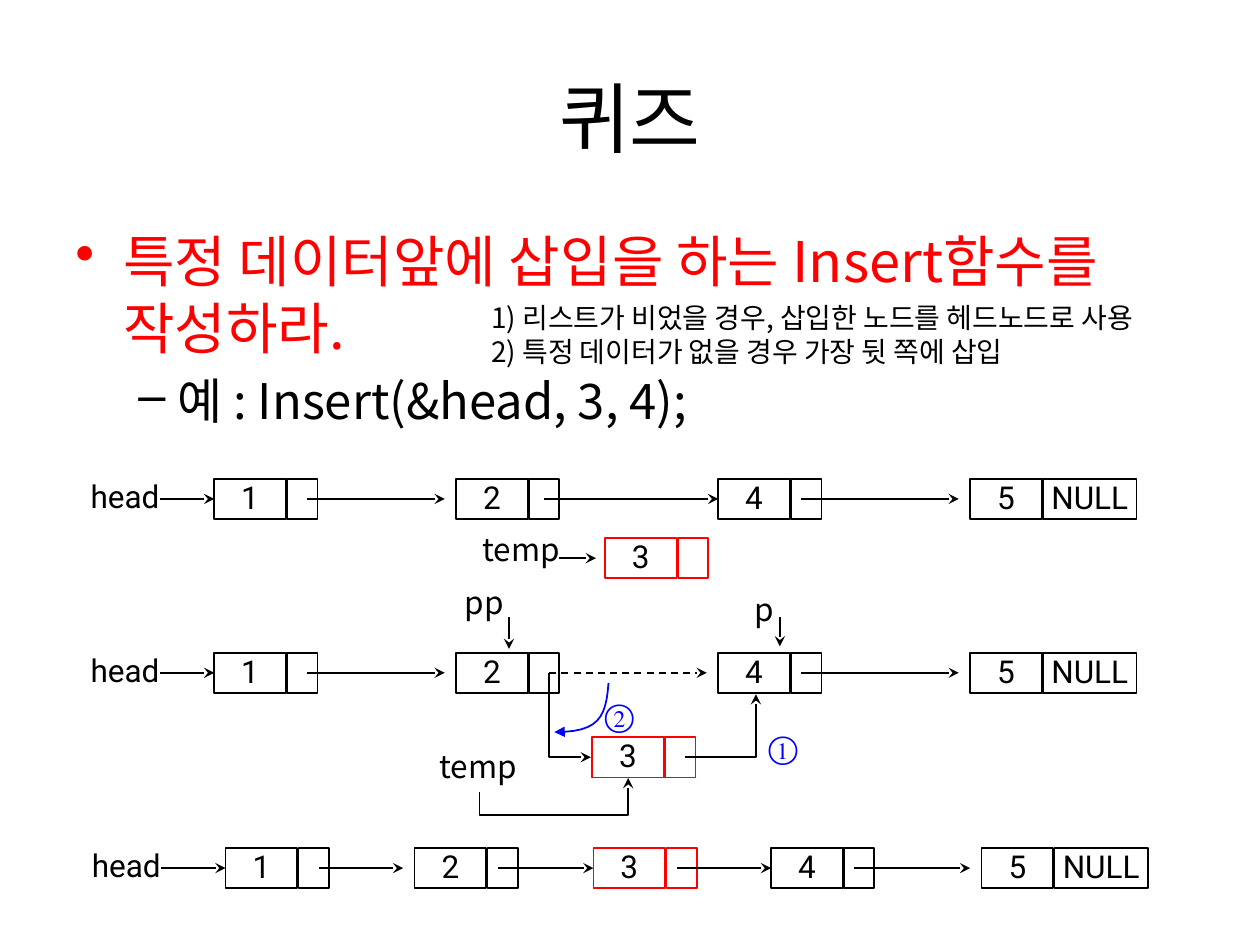
from dataclasses import dataclass
from typing import Optional

from lxml.etree import SubElement
from pptx import Presentation
from pptx.dml.color import RGBColor
from pptx.enum.dml import MSO_LINE
from pptx.enum.shapes import MSO_CONNECTOR, MSO_SHAPE
from pptx.enum.text import MSO_ANCHOR, MSO_AUTO_SIZE, PP_ALIGN
from pptx.oxml.ns import qn
from pptx.util import Inches, Pt

BLACK = RGBColor(0, 0, 0)
RED = RGBColor(255, 0, 0)
BLUE = RGBColor(0, 0, 255)
KOREAN, LATIN, SERIF = "Noto Sans CJK KR", "Roboto", "Times New Roman"

presentation = Presentation()
presentation.slide_width, presentation.slide_height = Inches(10), Inches(7.5)
slide = presentation.slides.add_slide(presentation.slide_layouts[6])

# The slide is a grid of 100 columns by 75 square rows
UNIT = presentation.slide_width // 100
DATA_WIDTH, LINK_OFFSET, LINK_WIDTH, NULL_WIDTH, NODE_HEIGHT = 5.7, 5.8, 2.4, 7.4, 3.2

Point = tuple[float, float]


@dataclass(frozen=True)
class Node:
    column: float
    value: str
    color: RGBColor = BLACK
    link_start: float = 6.6
    gap: float = 0.9  # space between arrow tip and next node; 0 joins them
    dashed: bool = False
    last: bool = False


@dataclass(frozen=True)
class LinkedList:
    row: float
    head_column: float
    nodes: tuple[Node, ...]


@dataclass(frozen=True)
class Label:
    text: str
    column: float
    row: float
    width: float
    height: float = 4
    size: int = 18
    font: str = KOREAN
    color: RGBColor = BLACK
    align: PP_ALIGN = PP_ALIGN.LEFT
    anchor: MSO_ANCHOR = MSO_ANCHOR.TOP
    wrap: bool = True
    tight: bool = False


def grid(*values: float) -> list[int]:
    return [round(value * UNIT) for value in values]


def style_paragraph(paragraph, size: int, font: str, color: RGBColor) -> None:
    paragraph.font.size, paragraph.font.name = Pt(size), font
    paragraph.font.color.rgb = color
    properties = paragraph._p.pPr.find(qn("a:defRPr"))
    SubElement(properties, qn("a:ea")).set("typeface", font)


def tighten(paragraph) -> None:
    paragraph.line_spacing, paragraph.space_before = 0.9, Pt(5.4)


def add_label(label: Label) -> None:
    box = slide.shapes.add_textbox(*grid(label.column, label.row, label.width, label.height))
    frame = box.text_frame
    frame.text = label.text
    frame.word_wrap = label.wrap
    frame.vertical_anchor = label.anchor
    for paragraph in frame.paragraphs:
        paragraph.alignment = label.align
        if label.tight:
            tighten(paragraph)
        style_paragraph(paragraph, label.size, label.font, label.color)


def add_bullet(paragraph, text: str, mark: str, size: int, color: RGBColor,
               margin: float, hanging: float) -> None:
    paragraph.text = text
    paragraph.space_before = Pt(size * 0.2)
    properties = paragraph._p.get_or_add_pPr()
    properties.set("marL", str(Inches(margin)))
    properties.set("indent", str(-Inches(hanging)))
    bullet_color = SubElement(properties, qn("a:buClr"))
    SubElement(bullet_color, qn("a:srgbClr")).set("val", str(color))
    SubElement(properties, qn("a:buChar")).set("char", mark)
    style_paragraph(paragraph, size, KOREAN, color)


def style_arrow(shape, color: RGBColor = BLACK, head: str = "stealth", dashed: bool = False) -> None:
    shape.line.color.rgb, shape.line.width = color, Pt(1)
    if dashed:
        shape.line.dash_style = MSO_LINE.DASH
    SubElement(shape.line._get_or_add_ln(), qn("a:tailEnd")).set("type", head)


def add_arrow(start: Point, end: Point, dashed: bool = False,
              kind: MSO_CONNECTOR = MSO_CONNECTOR.STRAIGHT):
    arrow = slide.shapes.add_connector(kind, *grid(*start, *end))
    style_arrow(arrow, dashed=dashed)
    SubElement(arrow._element.spPr, qn("a:effectLst"))
    return arrow


def add_outline_arrow(points: list[Point], color: RGBColor = BLACK, head: str = "stealth") -> None:
    builder = slide.shapes.build_freeform(*grid(*points[0]))
    builder.add_line_segments([tuple(grid(*point)) for point in points[1:]], close=False)
    shape = builder.convert_to_shape()
    shape.fill.background()
    style_arrow(shape, color, head)
    shape.shadow.inherit = False


def curve(start: Point, pull_start: Point, pull_end: Point, end: Point, steps: int = 12) -> list[Point]:
    def at(t: float) -> Point:
        weights = ((1 - t) ** 3, 3 * t * (1 - t) ** 2, 3 * t * t * (1 - t), t ** 3)
        controls = (start, pull_start, pull_end, end)
        return tuple(sum(w * p[axis] for w, p in zip(weights, controls)) for axis in (0, 1))
    return [at(step / steps) for step in range(steps + 1)]


def add_cell(column: float, row: float, width: float, color: RGBColor, text: Optional[str] = None):
    cell = slide.shapes.add_shape(MSO_SHAPE.RECTANGLE, *grid(column, row, width, NODE_HEIGHT))
    cell.shadow.inherit = False
    cell.fill.background()
    cell.line.color.rgb, cell.line.width = color, Pt(1)
    if text:
        cell.text_frame.word_wrap = False
        cell.text_frame.vertical_anchor = MSO_ANCHOR.MIDDLE
        paragraph = cell.text_frame.paragraphs[0]
        paragraph.text, paragraph.alignment = text, PP_ALIGN.CENTER
        tighten(paragraph)
        style_paragraph(paragraph, 18, LATIN, BLACK)
    return cell


def add_node(node: Node, row: float):
    data_cell = add_cell(node.column, row, DATA_WIDTH, node.color, node.value)
    add_cell(node.column + LINK_OFFSET, row, NULL_WIDTH if node.last else LINK_WIDTH,
             node.color, "NULL" if node.last else None)
    return data_cell


def add_list(linked: LinkedList) -> None:
    cells = [add_node(node, linked.row) for node in linked.nodes]
    middle = linked.row + NODE_HEIGHT / 2
    add_label(Label("head", linked.head_column, linked.row - 0.3, 7.5, 3.7,
                    font=LATIN, wrap=False, tight=True))
    head_arrow = add_arrow((linked.head_column + 6.5, middle), (linked.nodes[0].column, middle))
    head_arrow.end_connect(cells[0], 1)
    for node, following, cell in zip(linked.nodes, linked.nodes[1:], cells[1:]):
        arrow = add_arrow((node.column + node.link_start, middle),
                          (following.column - node.gap, middle), node.dashed)
        if not node.gap:
            arrow.end_connect(cell, 1)


# Title, task and notes
add_label(Label("퀴즈", 5, 3, 90, 12.5, 44, align=PP_ALIGN.CENTER, anchor=MSO_ANCHOR.MIDDLE))
body = slide.shapes.add_textbox(*grid(5, 17.5, 90, 49.5)).text_frame
body.word_wrap = True
add_bullet(body.paragraphs[0], "특정 데이터앞에 삽입을 하는 Insert함수를 작성하라.", "•", 32, RED, 0.38, 0.38)
add_bullet(body.add_paragraph(), "예 : Insert(&head, 3, 4);", "–", 28, BLACK, 0.81, 0.31)
add_label(Label("1) 리스트가 비었을 경우, 삽입한 노드를 헤드노드로 사용\n"
                "2) 특정 데이터가 없을 경우 가장 뒷 쪽에 삽입", 38, 23.4, 68.8, 6.4, 16))

# Lists before, during and after the insertion
first, tail = Node(17, "1", link_start=7.4), Node(77, "5", last=True)
lists = (
    LinkedList(38, 6.2, (first, Node(36.2, "2", link_start=7, gap=0), Node(57, "4"), tail)),
    LinkedList(51.8, 6.2, (first, Node(36.2, "2", link_start=7.4, dashed=True), Node(57, "4"), tail)),
    LinkedList(67.3, 6.3, (Node(17.9, "1", link_start=7.4), Node(32.9, "2", gap=0),
                           Node(47.1, "3", RED, gap=0), Node(61.2, "4"),
                           Node(77.9, "5", last=True))),
)
for linked_list in lists:
    add_list(linked_list)

# New nodes and the pointers to them
add_node(Node(48, "3", RED), 42.7)
add_node(Node(47, "3", RED), 58.5)
for pointer in (Label("temp", 37.3, 41.6, 9.8), Label("pp", 35.9, 45.8, 7.7),
                Label("p", 58.9, 46.3, 7.7), Label("temp", 33.9, 58.8, 8.3)):
    add_label(pointer)
add_arrow((44.4, 44.3), (47.3, 44.3))
add_arrow((40.4, 49), (40.4, 51.5))
add_arrow((61.9, 49), (61.9, 51.3))

# Elbow from temp, turned a quarter so that it runs below the new node
elbow = add_arrow((44.5, 68.2), (43.4, 56.4), kind=MSO_CONNECTOR.ELBOW)
elbow._element.spPr.find(qn("a:xfrm")).set("rot", str(90 * 60000))
adjustments = elbow._element.spPr.find(qn("a:prstGeom")).get_or_add_avLst()
guide = SubElement(adjustments, qn("a:gd"))
guide.set("name", "adj1")
guide.set("fmla", "val -169100")

# Rewired links and their order
add_outline_arrow([(43.6, 53.4), (43.6, 60.1), (46.9, 60.1)])
add_outline_arrow([(54.4, 60.1), (60, 60.1), (60, 55.1)])
add_outline_arrow(curve((48.3, 54.2), (48.1, 57), (47.5, 58.1), (44, 58.1)), BLUE, "triangle")
for number, column, row in (("①", 59.9, 57.6), ("②", 46.9, 55.1)):
    add_label(Label(number, column, row, 4.5, 3.7, font=SERIF, color=BLUE,
                    align=PP_ALIGN.CENTER, wrap=False, tight=True))

presentation.save("out.pptx")
